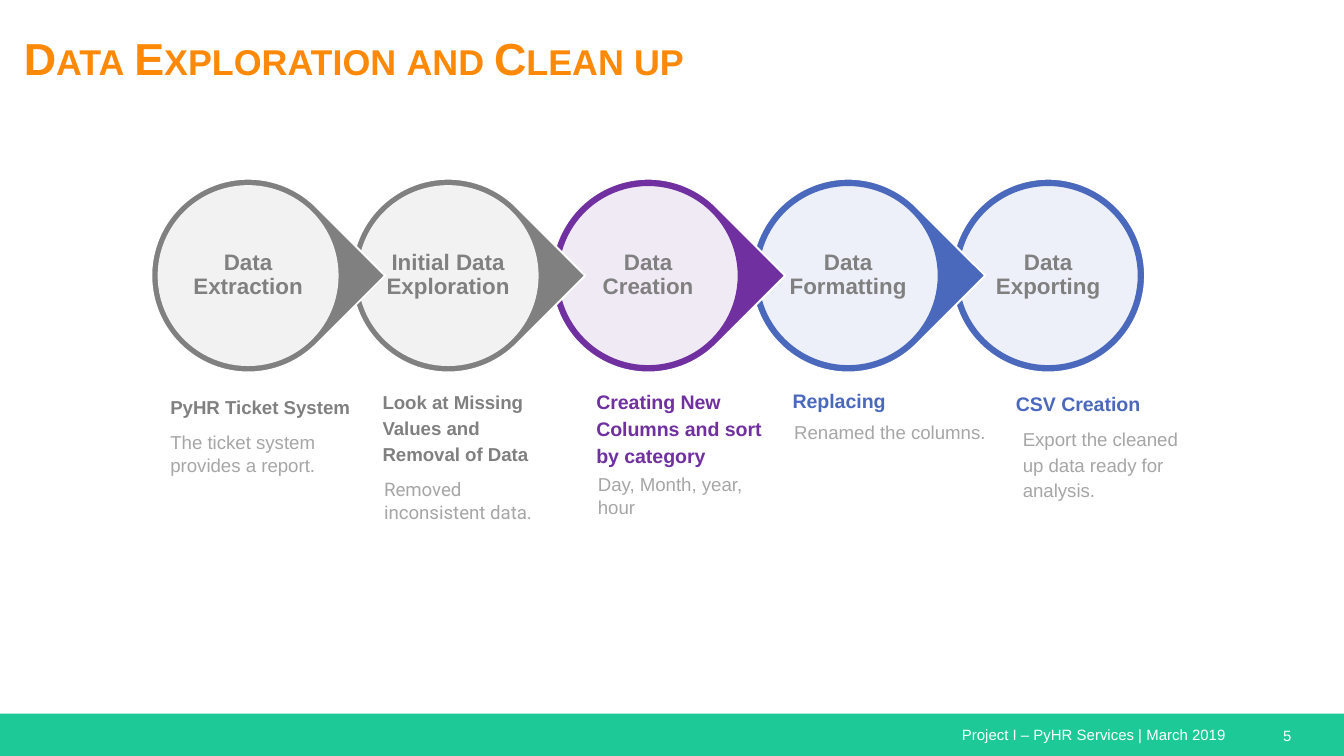
from lxml import etree
from pptx import Presentation
from pptx.dml.color import RGBColor
from pptx.enum import shapes, text
from pptx.oxml.ns import qn
from pptx.util import Cm, Pt

WHITE = RGBColor(0xFF, 0xFF, 0xFF)
GREEN = RGBColor(0x1C, 0xC9, 0x97)
ORANGE = RGBColor(0xFD, 0x89, 0x07)
GRAY = RGBColor(0x80, 0x80, 0x80)
PALE = RGBColor(0xA6, 0xA6, 0xA6)
PURPLE = RGBColor(0x70, 0x30, 0xA0)
BLUE = RGBColor(0x4B, 0x69, 0xBC)

TOP, MID = text.MSO_ANCHOR.TOP, text.MSO_ANCHOR.MIDDLE
LOW = text.MSO_ANCHOR.BOTTOM
OVAL, DROP = shapes.MSO_SHAPE.OVAL, shapes.MSO_SHAPE.TEAR

prs = Presentation()
prs.slide_width, prs.slide_height = Cm(25.4), Cm(14.29)
slide = prs.slides.add_slide(prs.slide_layouts[6])


def add_shape(kind, box, fill, line=None):
    shape = slide.shapes.add_shape(kind, *[Cm(v) for v in box])
    shape.shadow.inherit = False
    shape.fill.solid()
    shape.fill.fore_color.rgb = fill
    if line is None:
        shape.line.fill.background()
    else:
        shape.line.color.rgb = line
        shape.line.width = Pt(1)
    return shape


def add_text(box, words, size, color, bold=False, anchor=TOP, inset=0.25,
             space=None, after=0, font="Arial"):
    frame = slide.shapes.add_textbox(*[Cm(v) for v in box]).text_frame
    frame.word_wrap = True
    frame.vertical_anchor = anchor
    frame.margin_left = frame.margin_right = Cm(inset)
    frame.margin_top = frame.margin_bottom = Cm(inset)
    para = frame.paragraphs[0]
    para.space_after = Pt(after)
    if space:
        para.line_spacing = space
    run = para.add_run()
    run.text = words
    run.font.name = font
    run.font.size = Pt(size)
    run.font.bold = bold
    run.font.color.rgb = color
    return para, run


add_shape(shapes.MSO_SHAPE.RECTANGLE, (0, 13.49, 25.4, 0.8), GREEN)
add_text((17.93, 13.72, 5.9, 0.36), "Project I – PyHR Services | March 2019",
         8, WHITE, inset=0)
frames = slide.shapes[-1]
frames.left, frames.width = Cm(18.18), Cm(5.6)
add_text((24.25, 13.74, 1, 0.36), "5", 8, WHITE, inset=0)

steps = [
    ("Data Extraction", GRAY, None),
    ("Initial Data Exploration", GRAY, None),
    ("Data Creation", PURPLE, PURPLE),
    ("Data Formatting", BLUE, BLUE),
    ("Data Exporting", BLUE, BLUE),
]
LEFT, UPPER, PITCH, DIAM = 2.86, 3.38, 3.78, 3.66
last = len(steps) - 1
for i, (label, color, edge) in reversed(list(enumerate(steps))):
    x = LEFT + i * PITCH
    drop = add_shape(OVAL if i == last else DROP, (x, UPPER, DIAM, DIAM),
                     color, WHITE)
    if i < last:
        drop.rotation = 45
    disc = add_shape(OVAL, (x + 0.12, UPPER + 0.12, 3.42, 3.42), WHITE, edge)
    tint = disc.fill._xPr.find(qn("a:solidFill"))[0]
    etree.SubElement(tint, qn("a:alpha")).set("val", "90000")
    para, run = add_text((x + 0.61, UPPER + 0.61, 2.44, 2.44), label, 12, GRAY,
                         True, MID, 0.04, 0.9)
    para.alignment = text.PP_ALIGN.CENTER

para, run = add_text((0.2, 0.33, 13.51, 1.12), "Data Exploration and Clean up",
                     24, ORANGE, True)
run.font._element.set("cap", "small")

heads = [
    ((2.97, 7.19, 4.17, 0.97), "PyHR Ticket System", 10, GRAY),
    ((6.98, 7.54, 3.71, 1.5), "Look at Missing Values and Removal of Data",
     10, GRAY),
    ((11.02, 7.59, 3.71, 1.5), "Creating New Columns and sort by category",
     10.5, PURPLE),
    ((14.73, 7.11, 3.71, 0.94), "Replacing", 10.5, BLUE),
    ((18.95, 7.26, 3.71, 0.84), "CSV Creation", 10.5, BLUE),
]
for box, words, size, color in heads:
    add_text(box, words, size, color, True, LOW, space=1.15)

notes = [
    ((2.97, 7.9, 3.71, 1.5), "The ticket system provides a report.",
     "Arial", None),
    ((7.01, 8.79, 3.81, 1.5), "Removed inconsistent data.", "Roboto", None),
    ((11.05, 8.69, 3.53, 0.91), "Day, Month, year, hour", "Arial", None),
    ((14.76, 7.75, 4.32, 0.84), "Renamed the columns.", "Arial", None),
    ((19.08, 7.77, 3.89, 1.27),
     "Export the cleaned up data ready for analysis.", "Arial", 1.15),
]
for box, words, font, space in notes:
    add_text(box, words, 10, PALE, space=space, after=16, font=font)

prs.save("out.pptx")
